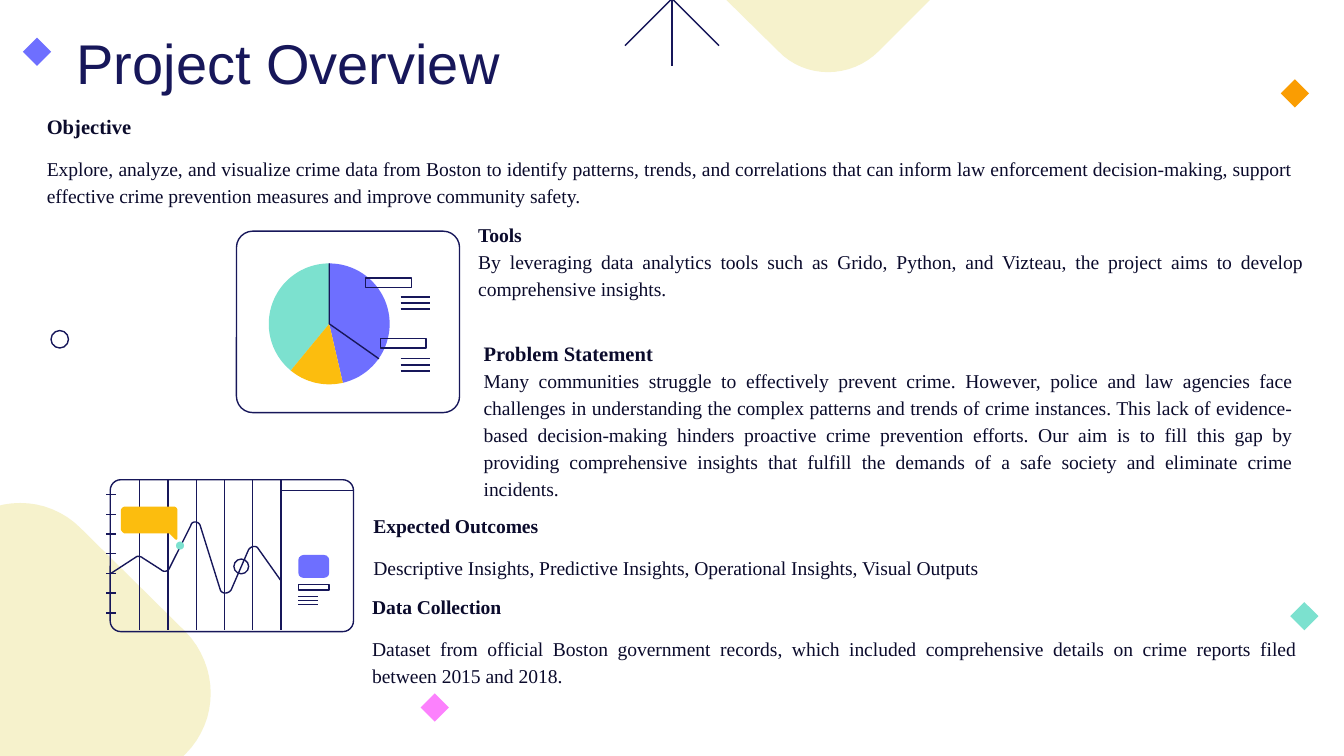
from math import cos, radians, sin
from lxml import etree
from pptx import Presentation
from pptx.dml.color import RGBColor
from pptx.enum.shapes import MSO_CONNECTOR, MSO_SHAPE
from pptx.enum.text import MSO_ANCHOR, PP_ALIGN
from pptx.oxml.ns import qn
from pptx.util import Inches, Pt

TOP = MSO_ANCHOR.TOP
LEFT, JUST = PP_ALIGN.LEFT, PP_ALIGN.JUSTIFY
RECT, ROUND = MSO_SHAPE.RECTANGLE, MSO_SHAPE.ROUNDED_RECTANGLE
OVAL, DIAMOND = MSO_SHAPE.OVAL, MSO_SHAPE.DIAMOND
STRAIGHT = MSO_CONNECTOR.STRAIGHT
COLORS = {
    "navy": "17175A", "ink": "0B0B2C", "cream": "F6F2CC", "mint": "7CE1CF",
    "orange": "FA9D02", "pink": "FC81FD", "violet": "6E6FFF", "gold": "FCBD0E",
}

# Wide slide, 16 to 9
deck = Presentation()
deck.slide_width, deck.slide_height = Inches(10), Inches(10 * 9 / 16)
slide = deck.slides.add_slide(deck.slide_layouts[5])
shapes = slide.shapes


def write(frame, text, first=True, size=10.5, font="Times New Roman",
          color="ink", bold=False, align=JUST, spacing=1.15, before=0):
    par = frame.paragraphs[0] if first else frame.add_paragraph()
    par.alignment, par.line_spacing = align, spacing
    par.space_before = Pt(before)
    run = par.add_run()
    run.text = text
    run.font.size, run.font.name, run.font.bold = Pt(size), font, bold
    run.font.color.rgb = RGBColor.from_string(COLORS[color])


def paint(shape, fill=None):
    """Fill the shape, or give it a navy outline when no fill is named."""
    shape.shadow.inherit = False
    if fill:
        shape.fill.solid()
        shape.fill.fore_color.rgb = RGBColor.from_string(COLORS[fill])
        shape.line.fill.background()
    else:
        shape.fill.background()
        shape.line.color.rgb = RGBColor.from_string(COLORS["navy"])
        shape.line.width = Pt(0.75)


# Lines: arrow, panel grid, axis ticks and legend strokes
lines = [(5, -0.5, 5, 0.49), (5.35, -0.36, 4.65, 0.34),
         (5.35, 0.34, 4.65, -0.36), (2.63, 3.65, 2.09, 3.65)]
lines += [(1.04 + 0.21 * i, 3.57, 1.04 + 0.21 * i, 4.69) for i in range(6)]
lines += [(0.79, 3.68 + 0.88 * i / 6, 0.86, 3.68 + 0.88 * i / 6)
          for i in range(7)]
for x, y, w, rise in [(2.22, 4.44, 0.15, 0.06), (2.98, 2.21, 0.22, 0.09),
                      (2.98, 2.67, 0.22, 0.09)]:
    lines += [(x, y + rise * i / 2, x + w, y + rise * i / 2)
              for i in range(3)]
for ends in lines:
    line = shapes.add_connector(STRAIGHT, *[Inches(v) for v in ends])
    line.line.color.rgb = RGBColor.from_string(COLORS["navy"])
    line.line.width = Pt(0.75)
    etree.SubElement(line._element.spPr, qn("a:effectLst"))

# Paths: a pair is a corner, six numbers are a Bezier curve
blob = [(0.6, 3.93), (1.38, 4.7), (1.63, 4.96, 1.63, 5.36, 1.38, 5.61),
        (0.6, 6.39), (0.35, 6.64, -0.05, 6.64, -0.3, 6.39),
        (-1.08, 5.61), (-1.33, 5.36, -1.33, 4.96, -1.08, 4.7),
        (-0.3, 3.93), (-0.05, 3.68, 0.35, 3.68, 0.6, 3.93)]
crest = [(7.3, -0.45), (7.28, -0.38, 7.24, -0.32, 7.18, -0.26),
         (6.54, 0.38), (6.33, 0.59, 5.99, 0.59, 5.79, 0.38),
         (5.14, -0.26), (5.09, -0.32, 5.05, -0.38, 5.02, -0.45)]
wave = [(0.82, 4.27), (1.02, 4.14), (1.03, 4.14, 1.05, 4.14, 1.06, 4.15),
        (1.2, 4.24), (1.22, 4.26, 1.25, 4.25, 1.26, 4.23),
        (1.42, 3.91), (1.43, 3.87, 1.48, 3.88, 1.49, 3.91),
        (1.64, 4.39), (1.65, 4.42, 1.7, 4.42, 1.72, 4.39),
        (1.85, 4.09), (1.87, 4.06, 1.91, 4.06, 1.92, 4.08), (2.09, 4.32)]
bubble = [(1.3, 4.01), (1.26, 3.97), (0.93, 3.97),
          (0.92, 3.97, 0.9, 3.95, 0.9, 3.94), (0.9, 3.8),
          (0.9, 3.78, 0.92, 3.77, 0.93, 3.77), (1.29, 3.77),
          (1.31, 3.77, 1.32, 3.78, 1.32, 3.8), (1.32, 4),
          (1.32, 4.02, 1.31, 4.02, 1.3, 4.01)]
hand = [(2.45, 1.96), (2.45, 2.41), (2.82, 2.67)]
paths = [(blob, "cream"), (crest, "cream"), (wave, None), (bubble, "gold")]

# Pie slices, in degrees clockwise from the top
for start, end, fill in [(219.5, 360, "mint"), (0, 167, "violet"),
                         (167, 219.5, "gold")]:
    turns = [radians(start + (end - start) * i / 40) for i in range(41)]
    rim = [(2.45 + 0.45 * sin(t), 2.41 - 0.45 * cos(t)) for t in turns]
    paths.append(([(2.45, 2.41)] + rim, fill))
paths.append((hand, None))

for path, fill in paths:
    dots = [path[0]]
    for step in path[1:]:
        if len(step) == 2:
            dots.append(step)
            continue
        a, b, c, d = dots[-1], step[:2], step[2:4], step[4:]
        for t in [i / 16 for i in range(1, 17)]:
            u = 1 - t
            dots.append(tuple(
                u**3 * a[k] + 3 * u * u * t * b[k] + 3 * u * t * t * c[k]
                + t**3 * d[k] for k in (0, 1)))
    dots = [(Inches(x), Inches(y)) for x, y in dots]
    pen = shapes.build_freeform(*dots[0])
    pen.add_line_segments(dots[1:], close=bool(fill))
    shape = pen.convert_to_shape()
    paint(shape, fill)
    if fill == "cream":  # backdrop goes behind the lines
        shapes._spTree.insert(2, shape._element)

# Preset shapes: kind, left, top, width, height, fill, corner
parts = [(DIAMOND, x, y, 0.21, 0.21, fill, None) for x, y, fill in [
    (9.6, 4.48, "mint"), (9.53, 0.59, "orange"),
    (3.13, 5.16, "pink"), (0.17, 0.28, "violet")]]
parts += [
    (OVAL, 0.38, 2.46, 0.13, 0.13, None, None),
    (ROUND, 0.82, 3.57, 1.81, 1.13, None, 0.07),
    (RECT, 2.22, 4.35, 0.23, 0.04, None, None),
    (ROUND, 2.22, 4.13, 0.23, 0.17, "violet", 0.22),
    (OVAL, 1.31, 4.03, 0.06, 0.06, "mint", None),
    (OVAL, 1.74, 4.16, 0.11, 0.11, None, None),
    (ROUND, 1.76, 1.72, 1.66, 1.35, None, 0.09),
    (RECT, 2.72, 2.07, 0.34, 0.07, None, None),
    (RECT, 2.83, 2.52, 0.34, 0.07, None, None),
]
for kind, x, y, w, h, fill, corner in parts:
    part = shapes.add_shape(kind, Inches(x), Inches(y), Inches(w), Inches(h))
    paint(part, fill)
    if corner:
        part.adjustments[0] = corner

# Title
title = shapes.title
title.left, title.top = Inches(0.47), Inches(0.11)
title.width, title.height = Inches(8.43), Inches(0.63)
frame = title.text_frame
frame.margin_left = frame.margin_right = Inches(0.1)
frame.margin_top = frame.margin_bottom = Inches(0.1)
frame.vertical_anchor, frame.word_wrap = TOP, True
write(frame, "Project Overview", size=30, font="Arial", color="navy",
      align=LEFT, spacing=1)

# Sections: box, heading, heading size, body, alignment, gap
notes = [
    ((0.25, 0.72, 9.47, 0.82), "Objective", 11,
     "Explore, analyze, and visualize crime data from Boston to identify "
     "patterns, trends, and correlations that can inform law enforcement "
     "decision-making, support effective crime prevention measures and "
     "improve community safety.", JUST, 8),
    ((3.46, 1.53, 6.34, 0.63), "Tools", 10.5,
     "By leveraging data analytics tools such as Grido, Python, and Vizteau, "
     "the project aims to develop comprehensive insights.", JUST, 0),
    ((2.68, 3.7, 7.7, 0.71), "Expected Outcomes", 10.5,
     "Descriptive Insights, Predictive Insights, Operational Insights, "
     "Visual Outputs", LEFT, 8),
    ((3.5, 2.41, 6.22, 1.68), "Problem Statement", 11,
     "Many communities struggle to effectively prevent crime. However, "
     "police and law agencies face challenges in understanding the complex "
     "patterns and trends of crime instances. This lack of evidence-based "
     "decision-making hinders proactive crime prevention efforts. Our aim "
     "is to fill this gap by providing comprehensive insights that fulfill "
     "the demands of a safe society and eliminate crime incidents.", JUST, 0),
    ((2.67, 4.3, 7.08, 0.71), "Data Collection", 10.5,
     "Dataset from official Boston government records, which included "
     "comprehensive details on crime reports filed between 2015 and 2018.",
     JUST, 8),
]
for box, head, size, body, align, gap in notes:
    frame = shapes.add_textbox(*[Inches(v) for v in box]).text_frame
    frame.word_wrap, frame.vertical_anchor = True, TOP
    frame.margin_left = frame.margin_right = Inches(0.1)
    frame.margin_top = frame.margin_bottom = Inches(0.1)
    write(frame, head, size=size, bold=True, align=align)
    write(frame, body, first=False, align=align, before=gap)

deck.save("out.pptx")
